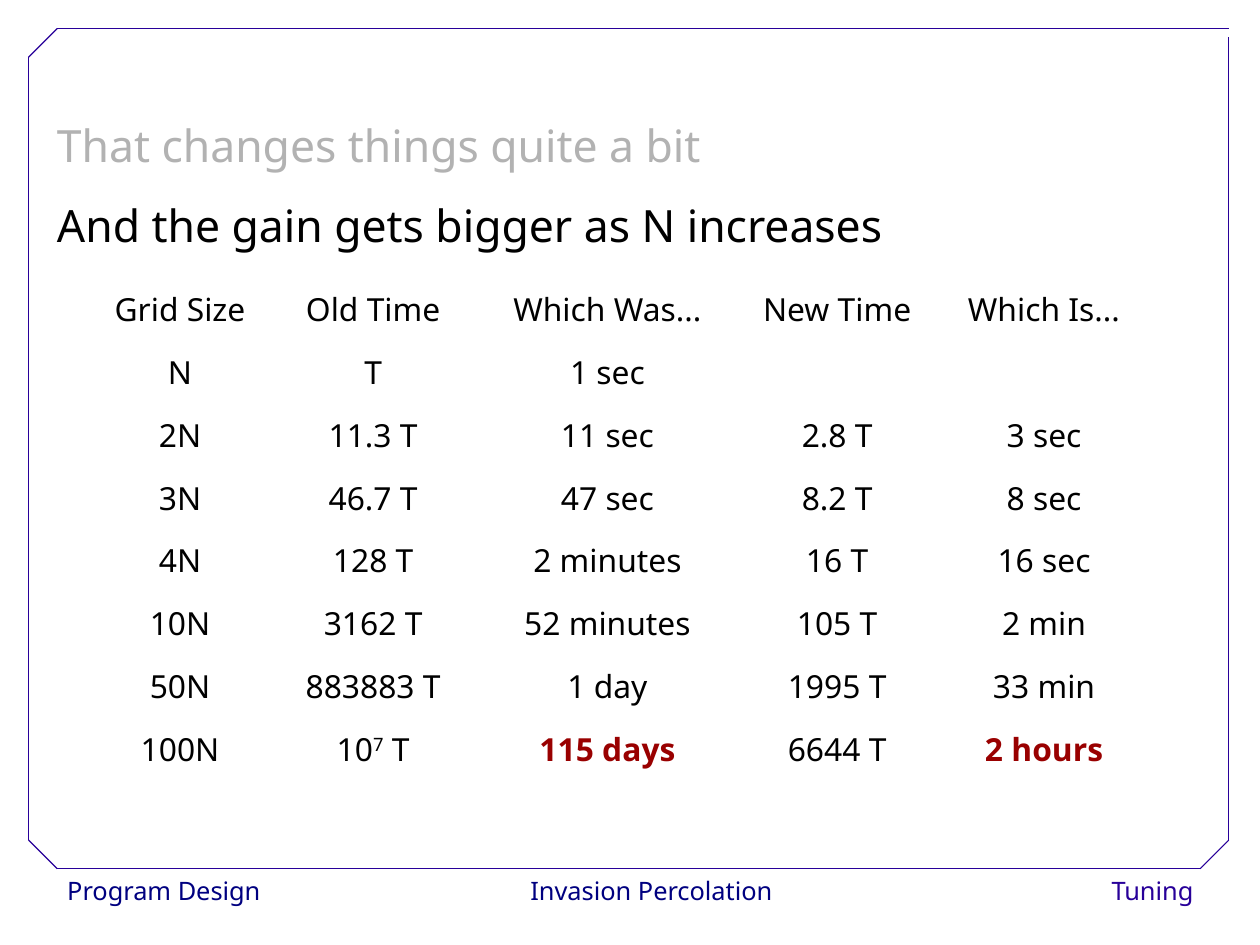
import pptx
import pptx.dml.color
import pptx.enum.shapes
import pptx.enum.text
import pptx.oxml.ns
import pptx.util
from lxml import etree

Inches = pptx.util.Inches
Pt = pptx.util.Pt
ALIGN = pptx.enum.text.PP_ALIGN

NAVY, VIOLET, GRAY, BLACK, RED, WHITE = (
    "000080", "280099", "B2B2B2", "000000", "990000", "FFFFFF")
CM_PER_INCH = 2.54


def rgb(value):
    return pptx.dml.color.RGBColor.from_string(value)


class SlideBuilder:
    font = "Noto Sans"

    def __init__(self, slide):
        self.slide = slide

    def style(self, paragraph, size, color, align, spacing, bold=False):
        paragraph.alignment = align
        paragraph.line_spacing = spacing
        for run in paragraph.runs:
            run.font.name = self.font
            run.font.size = Pt(size)
            run.font.bold = bold
            run.font.color.rgb = rgb(color)

    def footer(self, text, left, width, color, align):
        label = self.slide.shapes.add_shape(
            pptx.enum.shapes.MSO_SHAPE.RECTANGLE,
            Inches(left), Inches(7.6), Inches(width), Inches(0.4))
        label.shadow.inherit = False
        label.fill.solid()
        label.fill.fore_color.rgb = rgb(WHITE)
        label.line.fill.background()
        frame = label.text_frame
        frame.word_wrap = False
        frame.vertical_anchor = pptx.enum.text.MSO_ANCHOR.TOP
        frame.text = text
        self.style(frame.paragraphs[0], 16, color, align, 1.02)

    def line(self, start, end):
        edge = self.slide.shapes.add_connector(
            pptx.enum.shapes.MSO_CONNECTOR.STRAIGHT,
            *(Inches(value) for value in (*start, *end)))
        edge.line.color.rgb = rgb(VIOLET)
        edge.line.width = Pt(0.75)
        etree.SubElement(edge._element.spPr, pptx.oxml.ns.qn("a:effectLst"))

    def statements(self, lines, left, top, width, height):
        frame = self.slide.shapes.add_textbox(
            Inches(left), Inches(top), Inches(width), Inches(height)).text_frame
        frame.word_wrap = True
        frame.auto_size = pptx.enum.text.MSO_AUTO_SIZE.SHAPE_TO_FIT_TEXT
        frame.text = "\n".join(text for text, _ in lines)
        for paragraph, (_, color) in zip(frame.paragraphs, lines):
            self.style(paragraph, 28, color, ALIGN.LEFT, 1.5)
            properties = paragraph._p.get_or_add_pPr()
            properties.set("marL", str(Inches(0.5)))
            properties.set("indent", str(-Inches(0.5)))

    def table(self, rows, left, top, widths, row_height, highlights):
        grid = self.slide.shapes.add_table(
            len(rows), len(widths), Inches(left), Inches(top),
            Inches(sum(widths)), Inches(row_height * len(rows))).table
        grid.first_row = False
        grid.horz_banding = False
        for column, width in zip(grid.columns, widths):
            column.width = Inches(width)
        for r, row in enumerate(rows):
            for c, text in enumerate(row):
                self.cell(grid.cell(r, c), text, text in highlights)

    def cell(self, cell, text, highlighted):
        cell.fill.background()
        if not text:
            return
        paragraph = cell.text_frame.paragraphs[0]
        # A caret pair encloses a superscript
        for i, part in enumerate(text.split("^")):
            run = paragraph.add_run()
            run.text = part
            if i % 2:
                run.font._element.set("baseline", "30000")
        paragraph.space_after = Pt(14.2)
        self.style(paragraph, 20, RED if highlighted else BLACK,
                   ALIGN.CENTER, 0.93, highlighted)


def main():
    deck = pptx.Presentation()
    # The page measures 28 by 21 cm
    deck.slide_width = Inches(28 / CM_PER_INCH)
    deck.slide_height = Inches(21 / CM_PER_INCH)
    builder = SlideBuilder(deck.slides.add_slide(deck.slide_layouts[6]))

    # Footer labels
    builder.footer("Program Design", 0.49, 1.8, NAVY, ALIGN.LEFT)
    builder.footer("Invasion Percolation", 4.58, 2.24, NAVY, ALIGN.CENTER)
    builder.footer("Tuning", 9.14, 1.4, VIOLET, ALIGN.RIGHT)

    # Frame with cut corners, open at the top right
    outline = [(10.75, 0.25), (0.5, 0.25), (0.25, 0.5), (0.25, 7.35),
               (0.5, 7.6), (10.5, 7.6), (10.75, 7.35), (10.75, 0.32)]
    for start, end in zip(outline, outline[1:]):
        builder.line(start, end)

    # Statements
    builder.statements([("That changes things quite a bit", GRAY),
                        ("And the gain gets bigger as N increases", BLACK)],
                       0.4, 0.75, 8.42, 1.5)

    # Timing table
    timings = [
        ("Grid Size", "Old Time", "Which Was...", "New Time", "Which Is..."),
        ("N", "T", "1 sec", "", ""),
        ("2N", "11.3 T", "11 sec", "2.8 T", "3 sec"),
        ("3N", "46.7 T", "47 sec", "8.2 T", "8 sec"),
        ("4N", "128 T", "2 minutes", "16 T", "16 sec"),
        ("10N", "3162 T", "52 minutes", "105 T", "2 min"),
        ("50N", "883883 T", "1 day", "1995 T", "33 min"),
        ("100N", "10^7^ T", "115 days", "6644 T", "2 hours"),
    ]
    builder.table(timings, 0.79, 2.48, (1.57, 1.81, 2.29, 1.73, 1.89), 0.55,
                  {"115 days", "2 hours"})

    deck.save("out.pptx")


if __name__ == "__main__":
    main()
